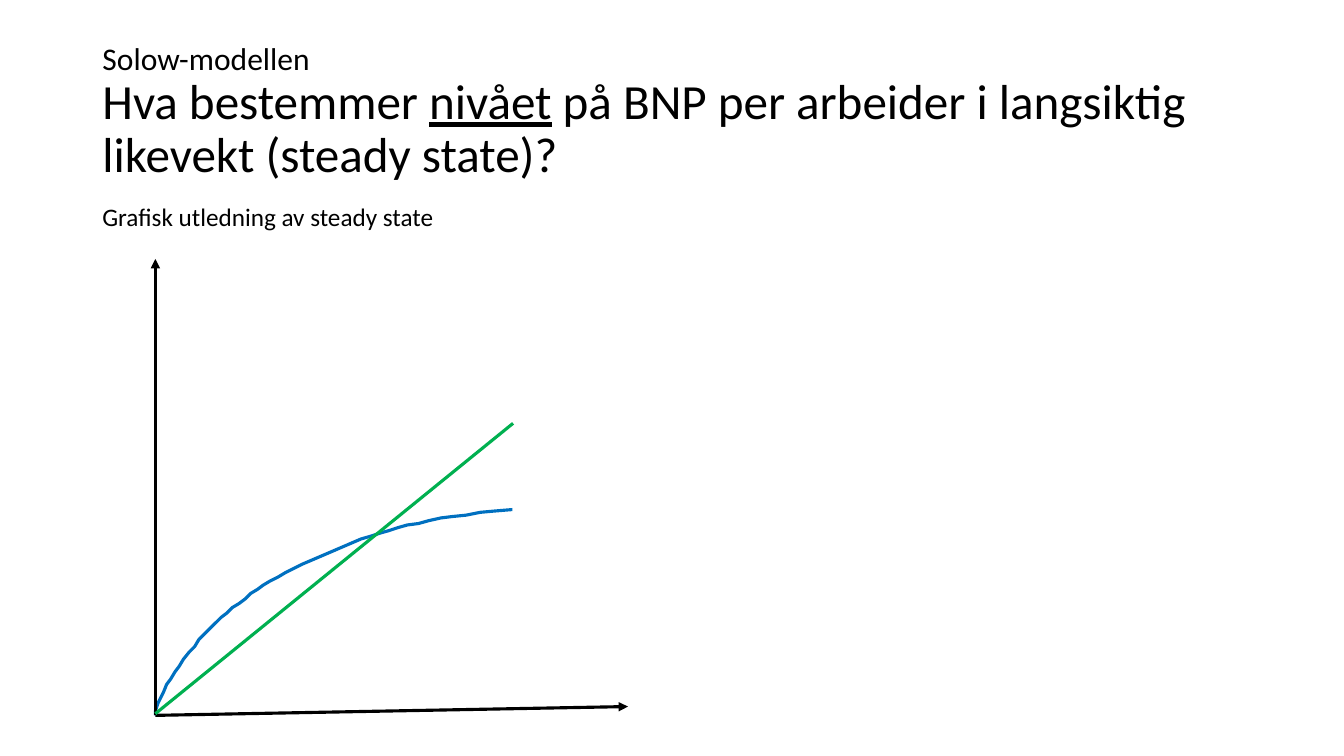
import copy

import pptx
import pptx.dml.color
import pptx.enum.shapes
import pptx.enum.text
import pptx.oxml.ns
import pptx.util
from lxml import etree

Pt = pptx.util.Pt
BLACK = pptx.dml.color.RGBColor(0x00, 0x00, 0x00)
BLUE = pptx.dml.color.RGBColor(0x00, 0x70, 0xC0)
GREEN = pptx.dml.color.RGBColor(0x00, 0xB0, 0x50)
FONT = "Calibri"
LINE_WIDTH = 2.25
CURVE_STEPS = 16


def format_run(run, size):
    run.font.name = FONT
    run.font.size = Pt(size)
    run.font.color.rgb = BLACK


def bezier_point(start, control_1, control_2, end, t):
    weights = ((1 - t) ** 3, 3 * t * (1 - t) ** 2, 3 * t ** 2 * (1 - t), t ** 3)
    points = (start, control_1, control_2, end)
    return tuple(sum(w * p[axis] for w, p in zip(weights, points)) for axis in (0, 1))


presentation = pptx.Presentation()
presentation.slide_width = Pt(960)
presentation.slide_height = Pt(540)
slide = presentation.slides.add_slide(presentation.slide_layouts[5])

# Title: small model name above the question
title = slide.shapes.title
title.left, title.top, title.width, title.height = Pt(66), Pt(28.8), Pt(828), Pt(104.4)
title.text_frame.word_wrap = True
title.text_frame.auto_size = pptx.enum.text.MSO_AUTO_SIZE.NONE
title.text_frame.vertical_anchor = pptx.enum.text.MSO_ANCHOR.MIDDLE
paragraph = title.text_frame.paragraphs[0]
paragraph.alignment = pptx.enum.text.PP_ALIGN.LEFT
paragraph.line_spacing = 0.9
model_name = paragraph.add_run()
model_name.text = "Solow-modellen"
format_run(model_name, 22.5)
paragraph.add_line_break()
line_break = paragraph._p.find(pptx.oxml.ns.qn("a:br"))
line_break.append(copy.deepcopy(model_name._r.rPr))
for text, underlined in (
    ("Hva bestemmer ", False),
    ("nivået", True),
    (" på BNP per arbeider i langsiktig likevekt (steady state)?", False),
):
    run = paragraph.add_run()
    run.text = text
    format_run(run, 35.1)
    run.font.underline = underlined

# Subtitle
subtitle = slide.shapes.add_textbox(Pt(66), Pt(140.4), Pt(253.4), Pt(29))
subtitle.text_frame.word_wrap = False
subtitle.text_frame.auto_size = pptx.enum.text.MSO_AUTO_SIZE.SHAPE_TO_FIT_TEXT
subtitle.text_frame.text = "Grafisk utledning av steady state"
format_run(subtitle.text_frame.paragraphs[0].runs[0], 18)

# Concave curve, drawn through points on three Bézier segments
origin = (111, 511)
segments = (
    ((111, 497.5), (132.9, 464.4), (154.3, 445)),
    ((175.7, 425.5), (196.5, 409.7), (236.9, 393.5)),
    ((277.2, 377.3), (298.8, 370.8), (366.5, 363.6)),
)
curve_points = []
start = origin
for control_1, control_2, end in segments:
    for step in range(1, CURVE_STEPS + 1):
        curve_points.append(bezier_point(start, control_1, control_2, end, step / CURVE_STEPS))
    start = end
builder = slide.shapes.build_freeform(*origin, scale=Pt(1))
builder.add_line_segments(curve_points, close=False)
curve = builder.convert_to_shape()
curve.shadow.inherit = False
curve.fill.background()
curve.line.color.rgb = BLUE
curve.line.width = Pt(LINE_WIDTH)

# Axes with arrowheads, and the straight line
for start, end, color, has_arrow in (
    (origin, (111, 185), BLACK, True),
    (origin, (448.6, 504.7), BLACK, True),
    ((111, 509.8), (366.5, 302.4), GREEN, False),
):
    connector = slide.shapes.add_connector(
        pptx.enum.shapes.MSO_CONNECTOR.STRAIGHT, *(Pt(value) for value in start + end)
    )
    connector.line.color.rgb = color
    connector.line.width = Pt(LINE_WIDTH)
    if has_arrow:
        line_element = connector.line._get_or_add_ln()
        etree.SubElement(line_element, pptx.oxml.ns.qn("a:tailEnd"), type="triangle")
    etree.SubElement(connector._element.spPr, pptx.oxml.ns.qn("a:effectLst"))

presentation.save("out.pptx")
